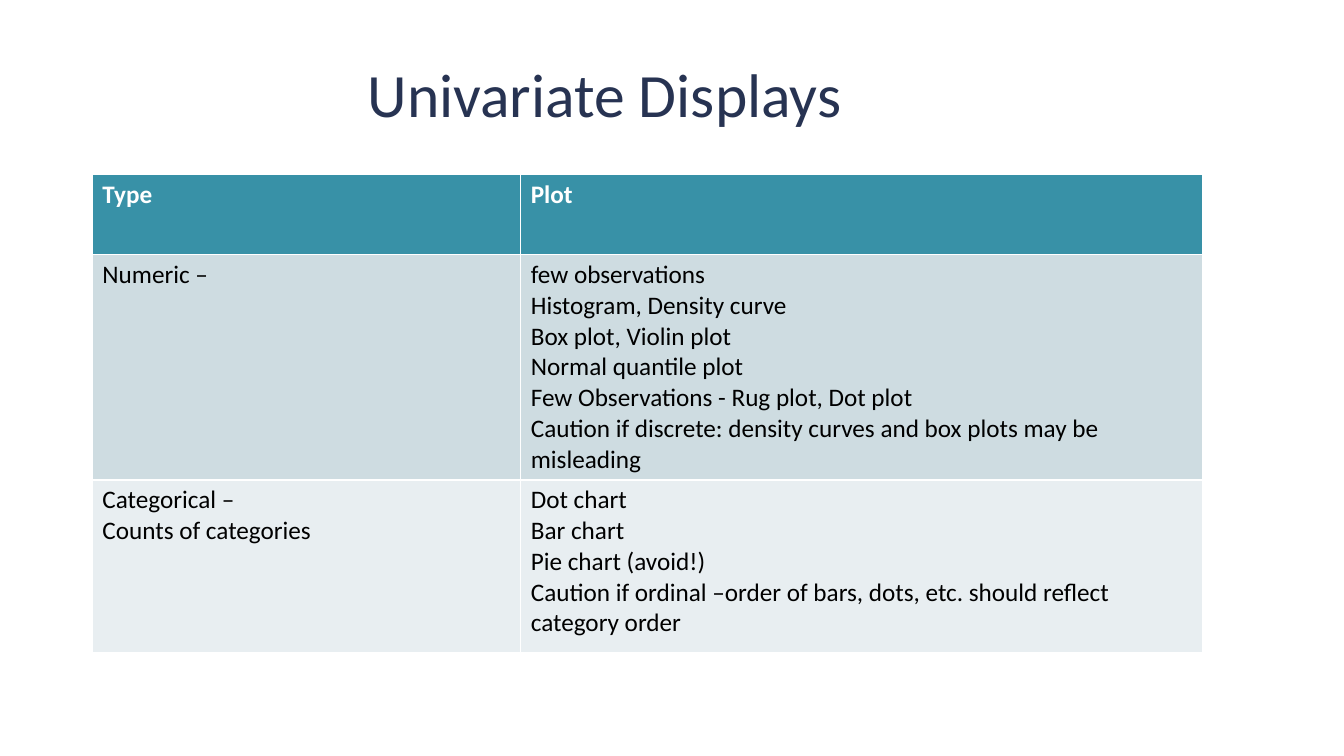
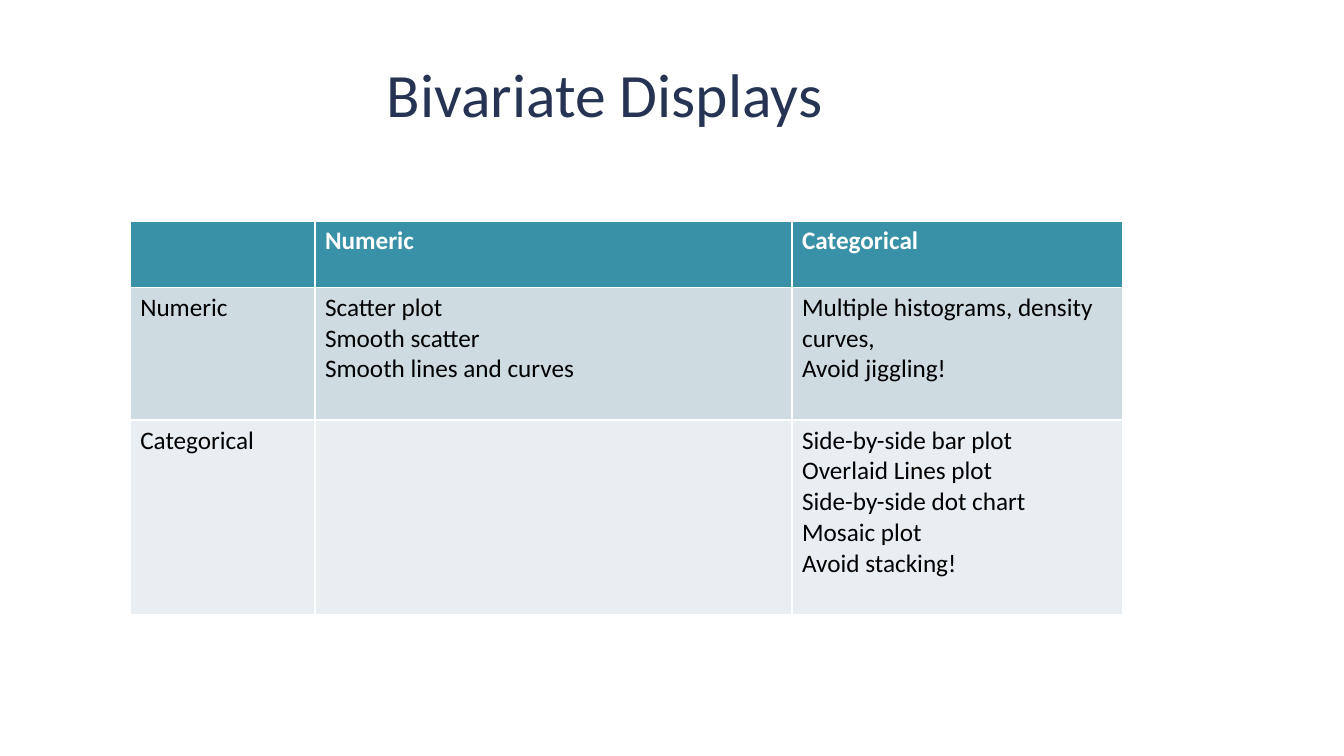
from pptx import Presentation
from pptx.dml.color import RGBColor as RGB
from pptx.enum.text import MSO_ANCHOR as Anchor, PP_ALIGN as Align
from pptx.util import Inches, Pt

NAVY = RGB(0x27, 0x33, 0x52)
TEAL = RGB(0x38, 0x91, 0xA7)
MIST = RGB(0xCE, 0xDC, 0xE1)
PALE = RGB(0xE8, 0xEE, 0xF1)
WHITE = RGB(0xFF, 0xFF, 0xFF)
BLACK = RGB(0x00, 0x00, 0x00)
FONT = "Calibri"
UNIT = Inches(1 / 12)
TITLE_BOX = (0, 3.6, 144, 15)

UNIVARIATE = [
    ["Type", "Plot"],
    ["Numeric –",
     "few observations\nHistogram, Density curve\nBox plot, Violin plot\n"
     "Normal quantile plot\nFew Observations - Rug plot, Dot plot\n"
     "Caution if discrete: density curves and box plots may be misleading"],
    ["Categorical –\nCounts of categories",
     "Dot chart\nBar chart\nPie chart (avoid!)\n"
     "Caution if ordinal –order of bars, dots, etc. should reflect category order"],
]
BIVARIATE = [
    ["", "Numeric", "Categorical"],
    ["Numeric",
     "Scatter plot\nSmooth scatter\nSmooth lines and curves",
     "Multiple histograms, density curves,\nAvoid jiggling!"],
    ["Categorical", "",
     "Side-by-side bar plot\nOverlaid Lines plot\nSide-by-side dot chart\n"
     "Mosaic plot\nAvoid stacking!"],
]


def grid(*cells):
    """Convert grid units to slide lengths."""
    return [round(n * UNIT) for n in cells]


def style_text(tf, size, color, bold=False):
    """Format every paragraph of a text frame alike."""
    for p in tf.paragraphs:
        p.font.name = FONT
        p.font.size = Pt(size)
        p.font.color.rgb = color
        p.font.bold = bold


def add_title(s, text, box):
    """Place and format the title placeholder in a grid box."""
    sp = s.shapes.title
    sp.left, sp.top, sp.width, sp.height = grid(*box)
    tf = sp.text_frame
    tf.text = text
    tf.vertical_anchor = Anchor.MIDDLE
    tf.paragraphs[0].alignment = Align.CENTER
    style_text(tf, 44, NAVY)


def add_grid_table(s, left, top, cols, rows, texts):
    """Draw a table with a teal header and tinted body rows."""
    box = grid(left, top, sum(cols), sum(rows))
    table = s.shapes.add_table(len(rows), len(cols), *box).table
    for column, width in zip(table.columns, grid(*cols)):
        column.width = width
    fills = (TEAL, MIST, PALE)
    for i, (row, height) in enumerate(zip(table.rows, grid(*rows))):
        row.height = height
        for cell, text in zip(row.cells, texts[i]):
            cell.fill.solid()
            cell.fill.fore_color.rgb = fills[i]
            cell.text_frame.text = text
            style_text(cell.text_frame, 18, BLACK if i else WHITE, bold=not i)


def add_display_slide(prs, title, **table):
    """Add a slide with a title and one table of plot types."""
    s = prs.slides.add_slide(prs.slide_layouts[5])
    add_title(s, title, TITLE_BOX)
    add_grid_table(s, **table)


def main():
    """Build and save the two slides."""
    prs = Presentation()
    prs.slide_width, prs.slide_height = grid(160, 90)
    add_display_slide(prs, "Univariate Displays", left=11, top=20.8,
                      cols=(51, 81.2), rows=(9.5, 26.8, 20.5), texts=UNIVARIATE)
    add_display_slide(prs, "Bivariate Displays", left=15.5, top=26.3,
                      cols=(22, 56.8, 39.4), rows=(7.9, 15.8, 23.2), texts=BIVARIATE)
    prs.save("out.pptx")


if __name__ == "__main__":
    main()
